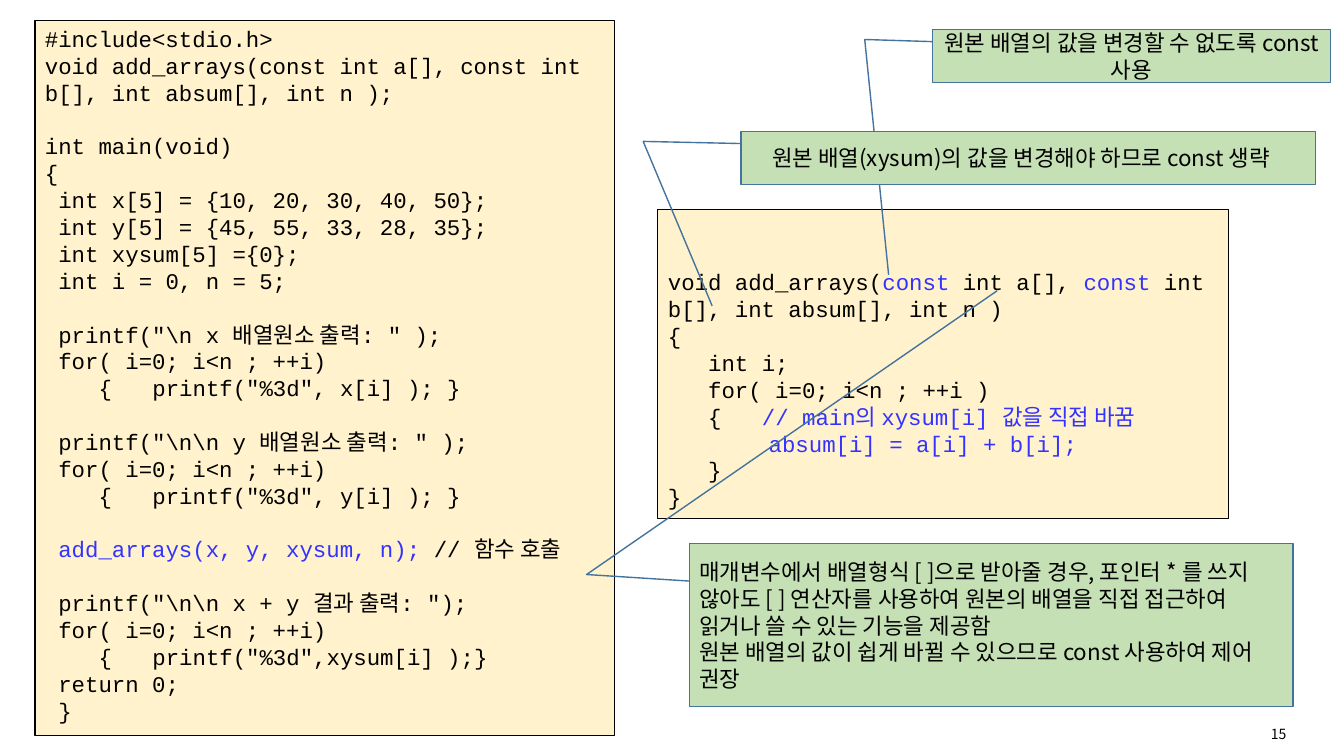
"""Build the slide on const array parameters in C."""
from pptx import Presentation
from pptx.dml.color import RGBColor
from pptx.enum.shapes import MSO_SHAPE as Preset
from pptx.enum.text import MSO_ANCHOR as Anchor, PP_ALIGN as Align
from pptx.oxml.ns import qn
from pptx.util import Pt
from lxml.etree import SubElement

CODE_FONT, KOREAN_FONT = "Courier New", "Noto Sans CJK KR"
BLACK, BLUE, CREAM, GREEN, TEAL = "000000", "3333FF", "FFF2CC", "C5E0B4", "43739E"
CHAR, LINE = 9.6, 19.2
BRACE_HANG = 4

# Each code line: indent in characters, blank lines above, runs.
MAIN_CODE = [
    (0, 0, ["#include<stdio.h>"]),
    (0, 0, ["void add_arrays(const int a[], const int b[], int absum[], int n );"]),
    (0, 1, ["int main(void)"]),
    (0, 0, ["{"]),
    (1, 0, ["int x[5] = {10, 20, 30, 40, 50};"]),
    (1, 0, ["int y[5] = {45, 55, 33, 28, 35};"]),
    (1, 0, ["int xysum[5] ={0};"]),
    (1, 0, ["int i = 0, n = 5;"]),
    (1, 1, ['printf("\\n x 배열원소 출력: " );']),
    (1, 0, ["for( i=0; i<n ; ++i)"]),
    (4, 0, ['{\tprintf("%3d", x[i] ); }']),
    (1, 1, ['printf("\\n\\n y 배열원소 출력: " );']),
    (1, 0, ["for( i=0; i<n ; ++i)"]),
    (4, 0, ['{\tprintf("%3d", y[i] ); }']),
    (1, 1, [("add_arrays(x, y, xysum, n); ", BLUE), "// 함수 호출"]),
    (1, 1, ['printf("\\n\\n x + y 결과 출력: ");']),
    (1, 0, ["for( i=0; i<n ; ++i)"]),
    (4, 0, ['{\tprintf("%3d",xysum[i] );}']),
    (1, 0, ["return 0;"]),
    (1, 0, ["}"]),
]
FUNCTION_CODE = [
    (0, 0, ["void add_arrays(", ("const ", BLUE), "int a[], ", ("const ", BLUE),
            "int b[], int absum[], int n )"]),
    (0, 0, ["{"]),
    (3, 0, ["int i;"]),
    (3, 0, ["for( i=0; i<n ; ++i )"]),
    (3, 0, ["{\t", ("// main의 xysum[i] 값을 직접 바꿈", BLUE)]),
    (7.5, 0, [("absum[i] = a[i] + b[i];", BLUE)]),
    (3, 0, ["}"]),
    (0, 0, ["}"]),
]


def color(value):
    """Turn a hex string into a colour."""
    return RGBColor.from_string(value)


def add_run(paragraph, text, font, size=16, ink=BLACK):
    """Add one styled run."""
    run = paragraph.add_run()
    run.text = text
    run.font.name, run.font.size = font, Pt(size)
    run.font.color.rgb = color(ink)
    SubElement(run.font._element, qn("a:ea")).set("typeface", KOREAN_FONT)


def next_paragraph(frame, index):
    """Return the first paragraph or a new one."""
    return frame.add_paragraph() if index else frame.paragraphs[0]


def add_box(slide, preset, bounds, fill, line, width):
    """Add a filled and outlined shape without shadow."""
    shape = slide.shapes.add_shape(preset, *map(Pt, bounds))
    shape.shadow.inherit = False
    shape.fill.solid()
    shape.fill.fore_color.rgb = color(fill)
    shape.line.color.rgb = color(line)
    shape.line.width = Pt(width)
    shape.text_frame.word_wrap = True
    return shape


def add_code(slide, bounds, lines, blank_top=0):
    """Add a box of source code, starting below some blank lines."""
    frame = add_box(slide, Preset.RECTANGLE, bounds, CREAM, BLACK, 0.75).text_frame
    frame.vertical_anchor = Anchor.TOP
    frame.margin_top = Pt(3.6 + blank_top * LINE)
    for index, (indent, gap, runs) in enumerate(lines):
        paragraph = next_paragraph(frame, index)
        paragraph.alignment = Align.LEFT
        paragraph.line_spacing = Pt(LINE)
        paragraph.space_before = Pt(gap * LINE)
        hang = BRACE_HANG if "\t" in runs[0] else 0
        properties = paragraph._p.get_or_add_pPr()
        properties.set("marL", str(Pt((indent + hang) * CHAR)))
        properties.set("indent", str(Pt(-hang * CHAR)))
        for run in runs:
            text, ink = (run, BLACK) if isinstance(run, str) else run
            add_run(paragraph, text, CODE_FONT, ink=ink)


def add_callout(slide, bounds, tip, texts, align=Align.CENTER, margins=(7.2, 7.2)):
    """Add a callout whose bent leader ends at tip, a (y, x) fraction."""
    shape = add_box(slide, Preset.LINE_CALLOUT_2, bounds, GREEN, TEAL, 1)
    for index, value in enumerate((0.23, 0, 0.19, -0.17, *tip)):
        shape.adjustments[index] = value
    frame = shape.text_frame
    frame.vertical_anchor = Anchor.MIDDLE
    frame.margin_left, frame.margin_right = map(Pt, margins)
    for index, text in enumerate(texts):
        paragraph = next_paragraph(frame, index)
        paragraph.alignment = align
        paragraph.line_spacing = Pt(LINE)
        add_run(paragraph, text, KOREAN_FONT)


def add_page_number(slide, bounds, number):
    """Add the page number."""
    frame = slide.shapes.add_textbox(*map(Pt, bounds)).text_frame
    frame.word_wrap = True
    frame.vertical_anchor = Anchor.MIDDLE
    paragraph = frame.paragraphs[0]
    paragraph.alignment = Align.CENTER
    add_run(paragraph, number, KOREAN_FONT, 10)


def main():
    """Build and save the slide."""
    presentation = Presentation()
    presentation.slide_width, presentation.slide_height = Pt(960), Pt(540)
    slide = presentation.slides.add_slide(presentation.slide_layouts[6])
    add_code(slide, (25, 14.4, 414, 511), MAIN_CODE)
    add_page_number(slide, (877, 515.5, 72.7, 18), "15")
    add_code(slide, (470, 149.8, 407.5, 220.3), FUNCTION_CODE, blank_top=2)
    add_callout(slide, (666, 21, 284.4, 38), (4.61, -0.11),
                ["원본 배열의 값을 변경할 수 없도록 const 사용"])
    add_callout(slide, (529.2, 93.8, 410.4, 38), (3.28, -0.05),
                ["원본 배열(xysum)의 값을 변경해야 하므로 const 생략"], margins=(3, 13))
    add_callout(slide, (492.3, 388.3, 431.3, 116.5), (-1.55, 0.51),
                ["매개변수에서 배열형식 [ ]으로 받아줄 경우, 포인터 * 를 쓰지 않아도 [ ] 연산자를 "
                 "사용하여 원본의 배열을 직접 접근하여 읽거나 쓸 수 있는 기능을 제공함",
                 "원본 배열의 값이 쉽게 바뀔 수 있으므로 const 사용하여 제어 권장"], Align.LEFT)
    presentation.save("out.pptx")


if __name__ == "__main__":
    main()
